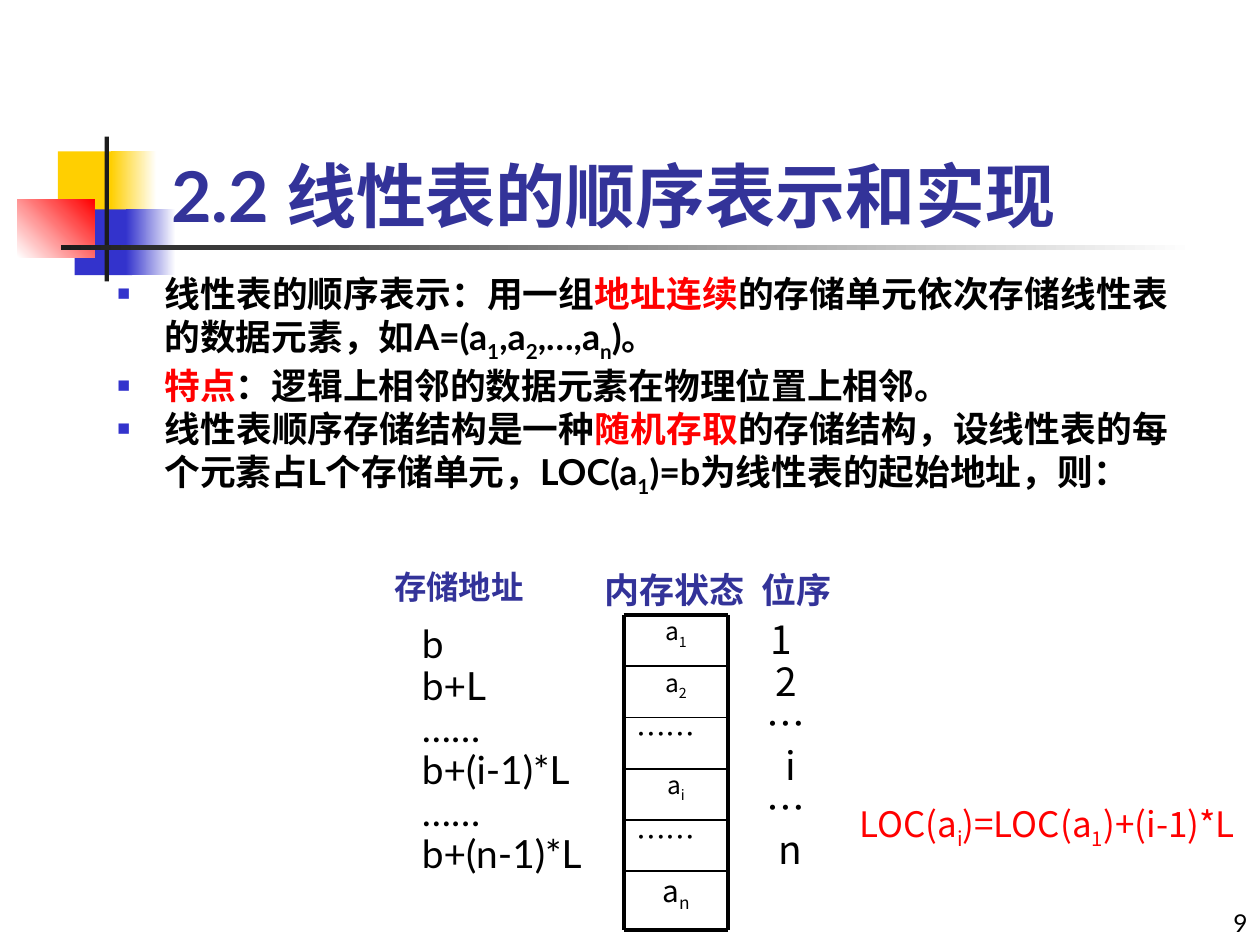
from dataclasses import dataclass
from lxml.etree import SubElement
from pptx import Presentation
from pptx.dml.color import RGBColor
from pptx.enum.shapes import MSO_CONNECTOR, MSO_SHAPE
from pptx.enum.text import MSO_ANCHOR, MSO_AUTO_SIZE, PP_ALIGN
from pptx.oxml.ns import qn
from pptx.util import Pt


@dataclass(frozen=True)
class Theme:
    latin: str = "Lato"
    cjk: str = "Noto Sans CJK SC"
    ink: str = "000000"
    heading: str = "333399"
    accent: str = "FF0000"
    bullet: str = "3333CC"
    yellow: str = "FFCF01"
    bar: str = "1C1C1C"
    white: str = "FFFFFF"
    title_size: float = 40
    body_size: float = 20.4
    list_size: float = 22.2
    label_size: float = 20
    address_label_size: float = 18.5
    dots_size: float = 17
    cell_size: float = 14


THEME = Theme()
RED, SUB = "red", "sub"

TITLE = "2.2 线性表的顺序表示和实现"
POINTS = [
    ["线性表的顺序表示：用一组", ("地址连续", RED),
     "的存储单元依次存储线性表的数据元素，如A=(a", ("1", SUB), ",a", ("2", SUB),
     ",…,a", ("n", SUB), ")。"],
    [("特点", RED), "：逻辑上相邻的数据元素在物理位置上相邻。"],
    ["线性表顺序存储结构是一种", ("随机存取", RED),
     "的存储结构，设线性表的每个元素占L个存储单元，LOC(a", ("1", SUB),
     ")=b为线性表的起始地址，则："],
]
ADDRESSES = [["b"], ["b+L"], ["……"], ["b+(i-1)*L"], ["……"], ["b+(n-1)*L"]]
POSITIONS = [["1 "], ["2"], ["…"], [" i"], ["…"], [" n"]]
MEMORY = [
    (["a", ("1", SUB)], THEME.cell_size, 0.74),
    (["a", ("2", SUB)], THEME.cell_size, 0.74),
    (["……"], THEME.dots_size, 0.77),
    (["a", ("i", SUB)], THEME.cell_size, 0.74),
    (["……"], THEME.dots_size, 0.77),
    (["a", ("n", SUB)], THEME.dots_size, 0.77),
]
FORMULA = ["LOC(a", ("i", SUB), ")=LOC(a", ("1", SUB), ")+(i-1)*L"]

DECORATION = [
    ((33.1, 86.5, 34.5, 37.5), [THEME.yellow], 0),
    ((63.4, 86.5, 26, 37.5), [THEME.yellow, THEME.white], 0),
    ((42.6, 119.7, 33, 37.5), [THEME.bullet], 0),
    ((72, 119.7, 28.5, 37.5), [THEME.bullet, THEME.white], 0),
    ((10, 113.8, 44, 33.2), [THEME.white, THEME.accent], 45),
    ((59.8, 78, 2.4, 82.8), [THEME.bar], 0),
    ((34.8, 140.2, 648, 2.4), [THEME.bar, THEME.white], 0),
]


def rgb(color):
    return RGBColor.from_string(color)


def points(*lengths):
    return [Pt(length) for length in lengths]


def write(paragraph, runs, size, color=THEME.ink, face=THEME.latin,
          bold=False, align=PP_ALIGN.LEFT, spacing=None):
    paragraph.alignment = align
    paragraph.space_before = Pt(0)
    if spacing:
        paragraph.line_spacing = spacing
    font = paragraph.font
    font.size, font.bold, font.name = Pt(size), bold, face
    font.color.rgb = rgb(color)
    defaults = paragraph._p.pPr.find(qn("a:defRPr"))
    SubElement(defaults, qn("a:ea")).set("typeface", THEME.latin)
    for part in runs:
        words, style = part if isinstance(part, tuple) else (part, None)
        run = paragraph.add_run()
        run.text = words
        if style == RED:
            run.font.color.rgb = rgb(THEME.accent)
        elif style == SUB:
            run._r.get_or_add_rPr().set("baseline", "-25000")


def add_bullet(paragraph):
    properties = paragraph._p.get_or_add_pPr()
    properties.set("marL", str(Pt(27)))
    properties.set("indent", str(Pt(-27)))
    tint = SubElement(properties, qn("a:buClr"))
    SubElement(tint, qn("a:srgbClr")).set("val", THEME.bullet)
    SubElement(properties, qn("a:buSzPct")).set("val", "60000")
    SubElement(properties, qn("a:buChar")).set("char", "■")


def fill_frame(frame, lines, bulleted=False, anchor=MSO_ANCHOR.TOP, **style):
    frame.word_wrap = True
    frame.auto_size = MSO_AUTO_SIZE.NONE
    frame.vertical_anchor = anchor
    for index, runs in enumerate(lines):
        paragraph = frame.add_paragraph() if index else frame.paragraphs[0]
        if bulleted:
            add_bullet(paragraph)
        write(paragraph, runs, **style)


def place(shape, box):
    shape.left, shape.top, shape.width, shape.height = points(*box)


def add_text(slide, box, lines, **style):
    fill_frame(slide.shapes.add_textbox(*points(*box)).text_frame, lines, **style)


def add_decoration(slide):
    for index, (box, colors, angle) in enumerate(DECORATION):
        block = slide.shapes.add_shape(MSO_SHAPE.RECTANGLE, *points(*box))
        block.shadow.inherit = False
        block.line.fill.background()
        if len(colors) == 1:
            block.fill.solid()
            block.fill.fore_color.rgb = rgb(colors[0])
        else:
            block.fill.gradient()
            block.fill.gradient_angle = angle
            for stop, color in zip(block.fill.gradient_stops, colors):
                stop.color.rgb = rgb(color)
        slide.shapes._spTree.insert(2 + index, block._element)


def add_rule(slide, ends, width):
    rule = slide.shapes.add_connector(MSO_CONNECTOR.STRAIGHT, *points(*ends))
    rule.line.color.rgb = rgb(THEME.ink)
    rule.line.width = Pt(width)
    SubElement(rule._element.spPr, qn("a:effectLst"))


def add_memory(slide):
    left, right, top, bottom, row_height = 356.4, 416.2, 351.4, 531.4, 29.3
    thick, thin = 2.25, 1
    edges = [top + row_height * index for index in range(len(MEMORY))] + [bottom]
    for (runs, size, spacing), upper, lower in zip(MEMORY, edges, edges[1:]):
        align = PP_ALIGN.LEFT if runs == ["……"] else PP_ALIGN.CENTER
        add_text(slide, (left, upper, right - left, lower - upper), [runs],
                 size=size, face=THEME.cjk, align=align, spacing=spacing)
    for edge in edges:
        add_rule(slide, (left, edge, right, edge),
                 thick if edge in (top, bottom) else thin)
    for side in (left, right):
        add_rule(slide, (side, top, side, bottom), thick)


def main():
    deck = Presentation()
    deck.slide_width, deck.slide_height = points(720, 540)
    slide = deck.slides.add_slide(deck.slide_layouts[1])
    add_decoration(slide)

    title, body = slide.shapes.title, slide.placeholders[1]
    place(title, (90.7, 48.5, 613.4, 90))
    fill_frame(title.text_frame, [[TITLE]], size=THEME.title_size,
               color=THEME.heading, bold=True, anchor=MSO_ANCHOR.BOTTOM)
    place(body, (59.8, 151.9, 614.9, 174.2))
    fill_frame(body.text_frame, POINTS, bulleted=True, size=THEME.body_size,
               bold=True, align=PP_ALIGN.JUSTIFY)

    label = dict(color=THEME.heading, face=THEME.cjk, bold=True)
    add_text(slide, (218.2, 323.3, 102.2, 31), [["存储地址"]],
             size=THEME.address_label_size, spacing=0.9, **label)
    add_text(slide, (338.4, 321.1, 110.2, 31.7), [["内存状态"]],
             size=THEME.label_size, **label)
    add_text(slide, (428, 321.1, 56.2, 36), [["位序"]],
             size=THEME.label_size, **label)

    add_text(slide, (234, 353.5, 126, 180), ADDRESSES,
             size=THEME.list_size, spacing=0.9)
    add_memory(slide)
    add_text(slide, (422.2, 351, 54, 174.2), POSITIONS, size=THEME.list_size,
             face=THEME.cjk, align=PP_ALIGN.CENTER, spacing=Pt(24))

    add_text(slide, (483.8, 455, 241.2, 59), [FORMULA], size=THEME.label_size,
             color=THEME.accent, face=THEME.cjk)
    add_text(slide, (570.2, 503.3, 149.8, 36), [["9"]], size=THEME.cell_size,
             align=PP_ALIGN.RIGHT, anchor=MSO_ANCHOR.BOTTOM)
    deck.save("out.pptx")


if __name__ == "__main__":
    main()
